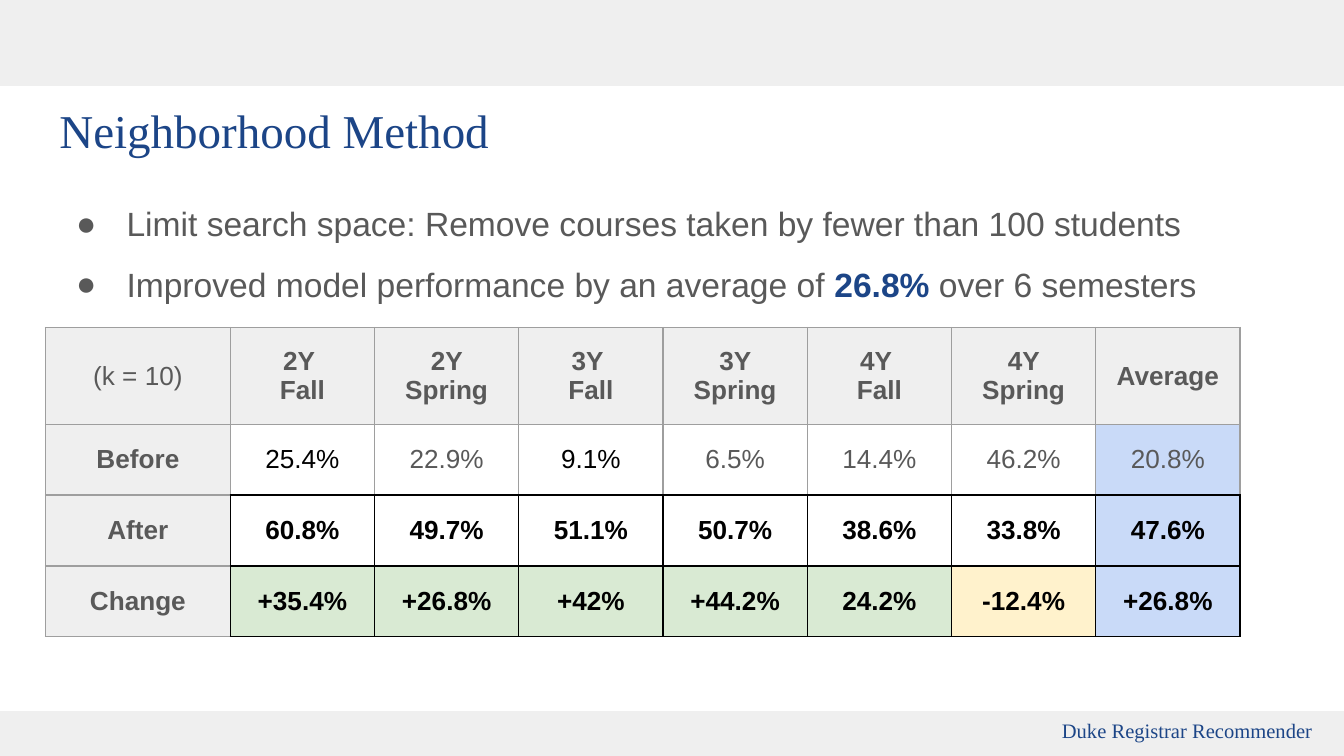
from dataclasses import dataclass
from typing import Optional

from lxml.etree import SubElement
from pptx import Presentation
from pptx.dml.color import RGBColor
from pptx.enum.shapes import MSO_SHAPE
from pptx.enum.text import MSO_ANCHOR, PP_ALIGN
from pptx.oxml.ns import qn
from pptx.util import Pt

NAVY = RGBColor(0x1C, 0x45, 0x87)
GRAY = RGBColor(0x59, 0x59, 0x59)
BLACK = RGBColor(0, 0, 0)
PALE = RGBColor(0xEF, 0xEF, 0xEF)
GRID = RGBColor(0x9E, 0x9E, 0x9E)
BLUE = RGBColor(0xC9, 0xDA, 0xF8)
GREEN = RGBColor(0xD9, 0xEA, 0xD3)
YELLOW = RGBColor(0xFF, 0xF2, 0xCC)

SERIF, SANS = "Times New Roman", "Arial"
INSET = Pt(7.2)
TABLE_LEFT = 24.4
FRAME_SIDE = 236.22
COL_WIDTHS = [99] + [77.3] * 7


@dataclass
class Run:
    text: str
    color: Optional[RGBColor] = None
    bold: Optional[bool] = None


@dataclass
class Cell:
    text: str
    color: RGBColor = GRAY
    bold: bool = False
    fill: Optional[RGBColor] = None
    left: RGBColor = GRID
    right: RGBColor = GRID
    top: RGBColor = GRID
    bottom: RGBColor = GRID


def add_bullet(p, size: float) -> None:
    pPr = p._p.get_or_add_pPr()
    pPr.set("marL", str(Pt(36)))
    pPr.set("indent", str(Pt(-27)))
    color = SubElement(SubElement(pPr, qn("a:buClr")), qn("a:srgbClr"))
    color.set("val", str(GRAY))
    SubElement(pPr, qn("a:buSzPts")).set("val", str(int(size * 100)))
    SubElement(pPr, qn("a:buFont")).set("typeface", SANS)
    SubElement(pPr, qn("a:buChar")).set("char", "●")


def write(tf, paragraphs, *, font=SANS, size=14, color=GRAY, bold=False,
          align=PP_ALIGN.LEFT, spacing=None, bullets=False) -> None:
    """Fill a text frame; each paragraph is a list of runs."""
    for i, runs in enumerate(paragraphs):
        p = tf.paragraphs[0] if i == 0 else tf.add_paragraph()
        p.alignment = align
        if spacing:
            p.line_spacing = spacing
        if bullets:
            add_bullet(p, size)
        for run in runs:
            r = p.add_run()
            r.text = run.text
            r.font.name, r.font.size = font, Pt(size)
            r.font.color.rgb = run.color or color
            r.font.bold = bold if run.bold is None else run.bold


def add_text(s, x: float, y: float, w: float, h: float, paragraphs,
             anchor=MSO_ANCHOR.TOP, **fmt) -> None:
    tf = s.shapes.add_textbox(Pt(x), Pt(y), Pt(w), Pt(h)).text_frame
    tf.word_wrap = True
    tf.vertical_anchor = anchor
    tf.margin_left = tf.margin_right = tf.margin_top = tf.margin_bottom = INSET
    write(tf, paragraphs, **fmt)


def add_band(s, y: float, h: float) -> None:
    sp = s.shapes.add_shape(MSO_SHAPE.RECTANGLE, 0, Pt(y), Pt(720), Pt(h))
    sp.shadow.inherit = False
    sp.fill.solid()
    sp.fill.fore_color.rgb = PALE
    sp.line.fill.background()


def set_borders(cell, spec: Cell) -> None:
    tcPr = cell._tc.get_or_add_tcPr()
    edges = {"a:lnL": spec.left, "a:lnR": spec.right,
             "a:lnT": spec.top, "a:lnB": spec.bottom}
    for tag, color in edges.items():
        ln = SubElement(tcPr, qn(tag))
        ln.set("w", str(Pt(0.75)))
        fill = SubElement(ln, qn("a:solidFill"))
        SubElement(fill, qn("a:srgbClr")).set("val", str(color))


def fill_cell(cell, spec: Cell) -> None:
    cell.margin_left = cell.margin_right = INSET
    cell.margin_top = cell.margin_bottom = INSET
    cell.vertical_anchor = MSO_ANCHOR.MIDDLE
    set_borders(cell, spec)
    if spec.fill is None:
        cell.fill.background()
    else:
        cell.fill.solid()
        cell.fill.fore_color.rgb = spec.fill
    write(cell.text_frame, [[Run(t)] for t in spec.text.split("\n")],
          color=spec.color, bold=spec.bold, align=PP_ALIGN.CENTER)


def add_grid(s, y: float, heights: list[float], rows: list[list[Cell]]) -> None:
    """Add a table whose columns and rows, not its frame, set the drawn size."""
    frame = s.shapes.add_table(len(rows), len(COL_WIDTHS), Pt(TABLE_LEFT), Pt(y),
                               Pt(FRAME_SIDE), Pt(FRAME_SIDE))
    table = frame.table
    table.first_row = table.horz_banding = False
    for col, width in zip(table.columns, COL_WIDTHS):
        col.width = Pt(width)
    for i, (height, row) in enumerate(zip(heights, rows)):
        table.rows[i].height = Pt(height)
        for j, spec in enumerate(row):
            fill_cell(table.cell(i, j), spec)
    frame.width = frame.height = Pt(FRAME_SIDE)


def result_row(label: str, values: list[str], fills: list) -> list[Cell]:
    """A row of bold results, ruled in black beside a grey label."""
    return [Cell(label, bold=True, fill=PALE, right=BLACK)] + [
        Cell(v, BLACK, True, f, BLACK, BLACK, BLACK, BLACK)
        for v, f in zip(values, fills)]


def main() -> None:
    prs = Presentation()
    prs.slide_width, prs.slide_height = Pt(720), Pt(405)
    s = prs.slides.add_slide(prs.slide_layouts[6])

    add_text(s, 24.7, 47, 671, 45, [[Run("Neighborhood Method")]],
             font=SERIF, size=25.2, color=NAVY)
    add_band(s, 0, 46)
    add_band(s, 381, 24)
    add_text(s, 551, 381.5, 170, 19.5, [[Run("Duke Registrar Recommender")]],
             anchor=MSO_ANCHOR.MIDDLE, font=SERIF, size=11, color=NAVY,
             align=PP_ALIGN.CENTER)
    add_text(s, 24.7, 90.9, 671, 75, [
        [Run("Limit search space: Remove courses taken by fewer than 100 students")],
        [Run("Improved model performance by an average of "),
         Run("26.8%", NAVY, True), Run(" over 6 semesters")],
    ], size=18, spacing=1.5, bullets=True)

    terms = ["2Y \nFall", "2Y Spring", "3Y \nFall", "3Y Spring",
             "4Y \nFall", "4Y Spring", "Average"]
    header = [Cell("(k = 10)", fill=PALE)]
    header += [Cell(t, bold=True, fill=PALE) for t in terms]

    before = [Cell("Before", bold=True, fill=PALE)]
    before += [Cell(v, BLACK if v in ("25.4%", "9.1%") else GRAY, bottom=BLACK)
               for v in ["25.4%", "22.9%", "9.1%", "6.5%", "14.4%", "46.2%", "20.8%"]]
    before[-1].fill = BLUE

    after = result_row(
        "After", ["60.8%", "49.7%", "51.1%", "50.7%", "38.6%", "33.8%", "47.6%"],
        [None] * 6 + [BLUE])
    change = result_row(
        "Change", ["+35.4%", "+26.8%", "+42%", "+44.2%", "24.2%", "-12.4%", "+26.8%"],
        [GREEN] * 5 + [YELLOW, BLUE])

    add_grid(s, 175.5, [51.9, 38], [header, before])
    add_grid(s, 265.2, [38], [after])
    add_grid(s, 303.2, [38], [change])

    prs.save("out.pptx")


if __name__ == "__main__":
    main()
